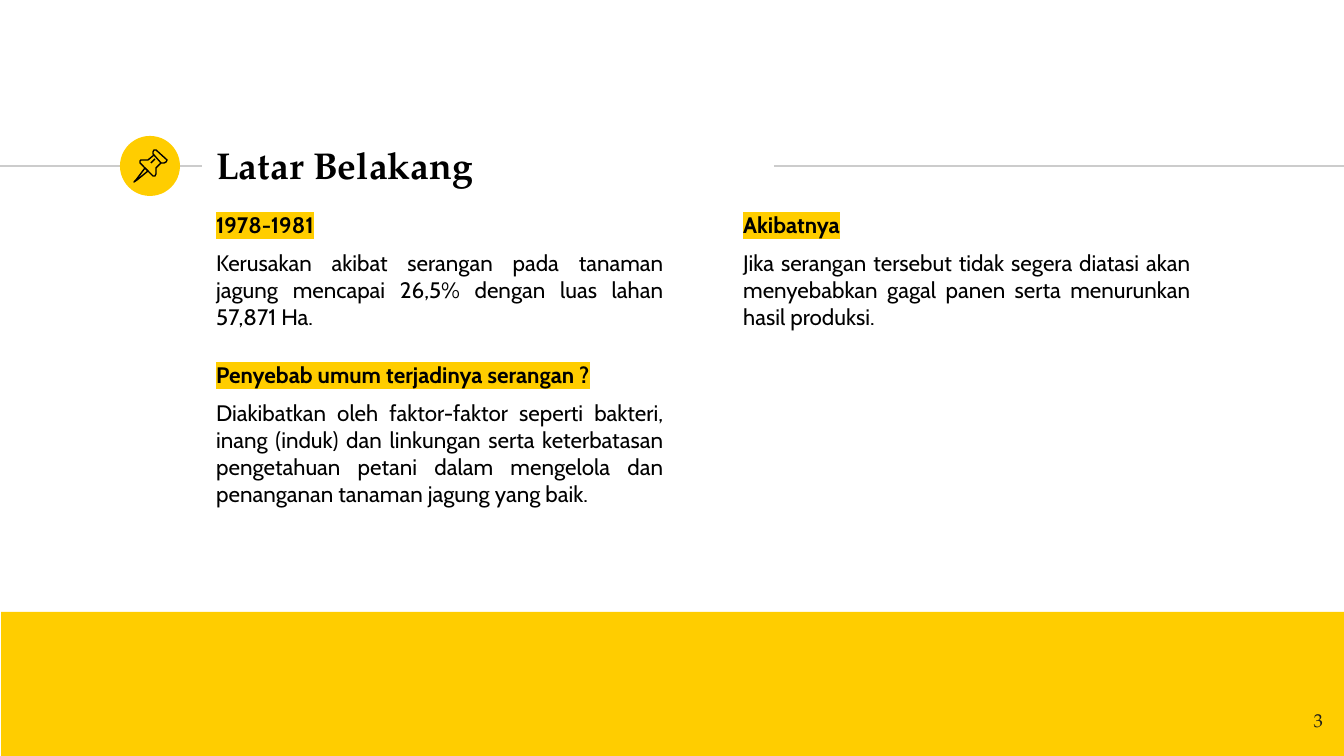
"""Builds the "Latar Belakang" slide with its pin badge and three text blocks."""
from lxml.etree import SubElement
from pptx import Presentation
from pptx.dml.color import RGBColor
from pptx.enum.shapes import MSO_CONNECTOR, MSO_SHAPE
from pptx.enum.text import MSO_ANCHOR, PP_ALIGN
from pptx.oxml.ns import qn
from pptx.util import Pt

SCALE = 914400 / 134.4
HEX = {"gold": "FFCD00", "rule": "CCCCCC", "ink": "000000", "dark": "1D1D1B"}
SERIF, SANS = "TeX Gyre Pagella", "Cabin"
TITLE = {"name": SERIF, "size": Pt(20), "bold": True}
HEAD = {"name": SANS, "size": Pt(12), "bold": True}
BODY = {"name": SANS, "size": Pt(12), "bold": False}
PAGE = {"name": SERIF, "size": Pt(10), "bold": False}


def emu(*sizes):
    return [round(size * SCALE) for size in sizes]


def tint(name):
    return RGBColor.from_string(HEX[name])


class Deck:
    def __init__(self):
        self.file = Presentation()
        self.file.slide_width, self.file.slide_height = emu(1344, 756)
        self.slide = self.file.slides.add_slide(self.file.slide_layouts[6])
        self.shapes = self.slide.shapes

    def rule(self, left, right, top):
        line = self.shapes.add_connector(MSO_CONNECTOR.STRAIGHT, *emu(left, top, right, top))
        line.line.color.rgb = tint("rule")
        line.line.width = Pt(0.75)
        SubElement(line._element.spPr, qn("a:effectLst"))

    def block(self, kind, *box):
        shape = self.shapes.add_shape(kind, *emu(*box))
        shape.shadow.inherit = False
        shape.fill.solid()
        shape.fill.fore_color.rgb = tint("gold")
        shape.line.fill.background()

    def stroke(self, points, close):
        pen = self.shapes.build_freeform(*points[0], scale=SCALE)
        pen.add_line_segments(points[1:], close=close)
        shape = pen.convert_to_shape()
        shape.shadow.inherit = False
        shape.fill.background()
        shape.line.color.rgb = tint("ink")
        shape.line.width = Pt(0.75)

    def text(self, box, anchor=MSO_ANCHOR.TOP):
        frame = self.shapes.add_textbox(*emu(*box)).text_frame
        frame.word_wrap = True
        frame.vertical_anchor = anchor
        for side in ("left", "top", "right", "bottom"):
            setattr(frame, f"margin_{side}", Pt(7.2))
        return frame

    def label(self, para, words, style, color="ink", align=PP_ALIGN.LEFT, mark=None):
        para.alignment = align
        run = para.add_run()
        run.text = words
        for key, value in style.items():
            setattr(run.font, key, value)
        run.font.color.rgb = tint(color)
        if mark:
            props = run._r.get_or_add_rPr()
            light = SubElement(props, qn("a:highlight"))
            SubElement(light, qn("a:srgbClr"), val=HEX[mark])
            props.find(qn("a:solidFill")).addnext(light)

    def topic(self, box, head, body):
        frame = self.text(box)
        first, second = frame.paragraphs[0], frame.add_paragraph()
        self.label(first, head, HEAD, mark="gold")
        self.label(second, body, BODY, align=PP_ALIGN.JUSTIFY)
        for para in (first, second):
            para.space_before = Pt(6)


PIN = [
    ([(145, 168), (136, 180), (134, 182), (137, 180), (148, 171)], True),
    ([(154, 155), (161, 163), (164, 163), (166, 162), (167, 160),
      (156, 150), (154, 150), (153, 152), (153, 154)], True),
    ([(154, 155), (148, 160), (144, 160), (141, 160), (140, 161), (140, 163),
      (153, 176), (155, 176), (156, 174), (156, 168), (161, 163)], False),
    ([(151, 163), (155, 159)], False),
]
TOPICS = [
    ((203, 198, 474, 150), "1978-1981",
     "Kerusakan akibat serangan pada tanaman jagung mencapai 26,5% "
     "dengan luas lahan 57,871 Ha."),
    ((203, 348, 474, 212), "Penyebab umum terjadinya serangan ?",
     "Diakibatkan oleh faktor-faktor seperti bakteri, inang (induk) dan linkungan "
     "serta keterbatasan pengetahuan petani dalam mengelola dan penanganan "
     "tanaman jagung yang baik."),
    ((730, 198, 474, 212), "Akibatnya",
     "Jika serangan tersebut tidak segera diatasi akan menyebabkan gagal panen "
     "serta menurunkan hasil produksi."),
]


def main():
    deck = Deck()
    deck.rule(0, 202, 166)
    deck.block(MSO_SHAPE.OVAL, 120, 136, 60, 60)
    deck.rule(774, 1344, 166)
    deck.block(MSO_SHAPE.RECTANGLE, 1, 612, 1343, 144)
    title = deck.text((203, 132, 570, 65), MSO_ANCHOR.MIDDLE)
    deck.label(title.paragraphs[0], "Latar Belakang", TITLE)
    for points, close in PIN:
        deck.stroke(points, close)
    for topic in TOPICS:
        deck.topic(*topic)
    page = deck.text((1255, 698, 81, 58))
    deck.label(page.paragraphs[0], "3", PAGE, "dark", PP_ALIGN.RIGHT)
    deck.file.save("out.pptx")


if __name__ == "__main__":
    main()
